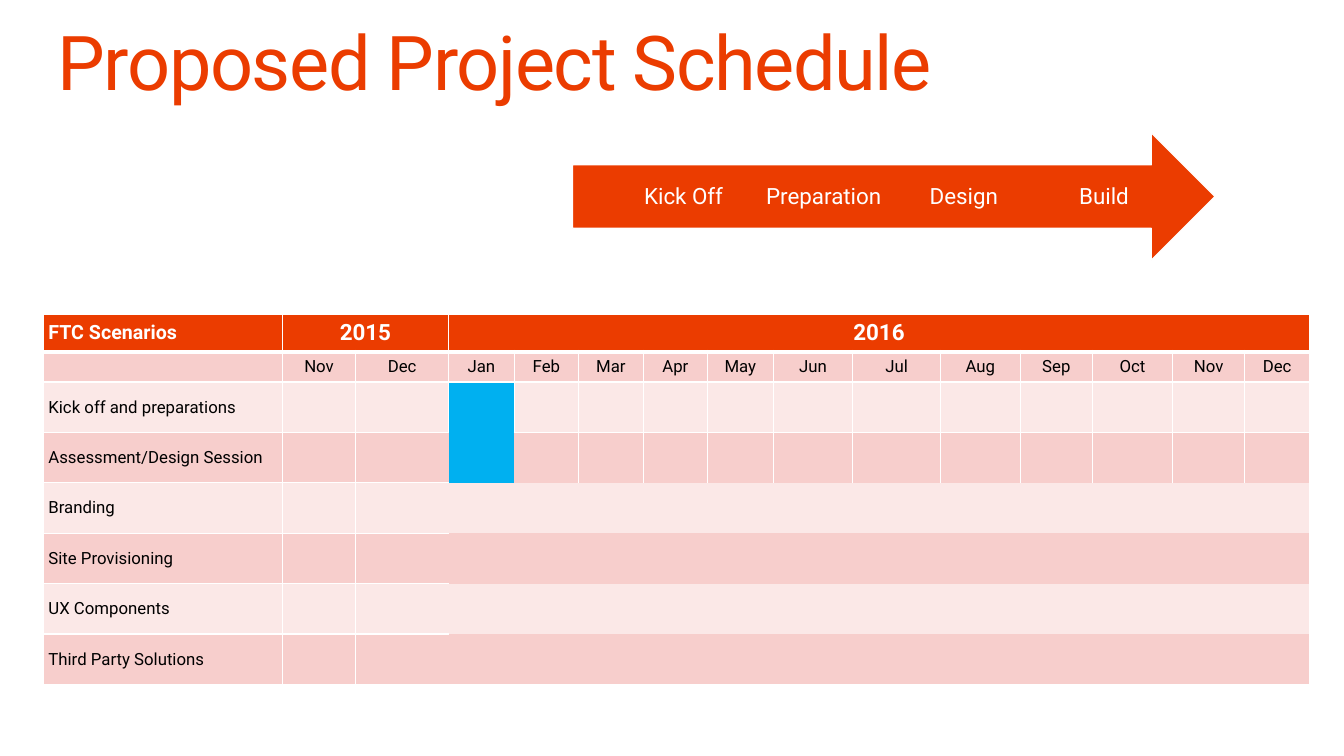
from lxml import etree
from pptx import Presentation
from pptx.dml.color import RGBColor
from pptx.enum import shapes, text
from pptx.oxml.ns import qn
from pptx.util import Inches, Pt

ORANGE = RGBColor(0xEB, 0x3C, 0x00)
WHITE = RGBColor(0xFF, 0xFF, 0xFF)
BLACK = RGBColor(0x00, 0x00, 0x00)
ROSE = RGBColor(0xF7, 0xCE, 0xCC)
PALE_ROSE = RGBColor(0xFB, 0xE8, 0xE7)
BLUE = RGBColor(0x00, 0xB0, 0xF0)
FONT = "Roboto"


def write(frame, words, size=12, color=BLACK, bold=False, align=text.PP_ALIGN.LEFT,
          line_spacing=None, tracking=None):
    paragraph = frame.paragraphs[0]
    paragraph.alignment = align
    paragraph.line_spacing = line_spacing
    run = paragraph.add_run()
    run.text = words
    run.font.name, run.font.size, run.font.bold = FONT, Pt(size), bold
    run.font.color.rgb = color
    if tracking is not None:
        run.font._element.set("spc", str(tracking))


def set_borders(cell, sides, bottom_width):
    """Draw the named sides (of L, R, T, B) in white and clear the others."""
    properties = cell._tc.get_or_add_tcPr()
    for index, side in enumerate("LRTB"):
        width = bottom_width if side == "B" else 1
        line = etree.Element(qn(f"a:ln{side}"), w=str(Pt(width)))
        if side in sides:
            fill = etree.SubElement(line, qn("a:solidFill"))
            etree.SubElement(fill, qn("a:srgbClr"), val=str(WHITE))
        else:
            etree.SubElement(line, qn("a:noFill"))
        properties.insert(index, line)


prs = Presentation()
prs.slide_width, prs.slide_height = Inches(13.33), Inches(7.5)
slide = prs.slides.add_slide(prs.slide_layouts[6])

title = slide.shapes.add_textbox(Inches(0.57), Inches(0.25), Inches(12.19), Inches(0.82)).text_frame
title.word_wrap = True
title.margin_left = title.margin_right = title.margin_top = title.margin_bottom = 0
write(title, "Proposed Project Schedule", size=54, color=ORANGE, line_spacing=0.9, tracking=-100)

# Phase arrow
phases = slide.shapes.add_group_shape()
arrow = phases.shapes.add_shape(shapes.MSO_SHAPE.RIGHT_ARROW, Inches(5.68), Inches(1.32),
                                Inches(6.37), Inches(1.26))
arrow.shadow.inherit = False
arrow.fill.solid()
arrow.fill.fore_color.rgb = ORANGE
arrow.line.color.rgb = WHITE
arrow.line.width = Pt(0.85)
for index, phase in enumerate(["Kick Off", "Preparation", "Design", "Build"]):
    label = phases.shapes.add_textbox(Inches(6.2 + 1.39 * index), Inches(1.64),
                                      Inches(1.16), Inches(0.63)).text_frame
    label.word_wrap = True
    label.margin_left = label.margin_right = 0
    label.margin_top = label.margin_bottom = Inches(0.18)
    label.vertical_anchor = text.MSO_ANCHOR.MIDDLE
    write(label, phase, size=16, color=WHITE, align=text.PP_ALIGN.CENTER, line_spacing=0.9)

# Schedule table
MONTHS = ["Nov", "Dec", "Jan", "Feb", "Mar", "Apr", "May", "Jun",
          "Jul", "Aug", "Sep", "Oct", "Nov", "Dec"]
SCENARIOS = ["Kick off and preparations", "Assessment/Design Session", "Branding",
             "Site Provisioning", "UX Components", "Third Party Solutions"]
WIDTHS = [2.37, 0.73, 0.92, 0.65, 0.64, 0.64, 0.64, 0.65, 0.79, 0.87, 0.79, 0.72, 0.79, 0.72, 0.64]
HEIGHTS = [0.37, 0.3] + [0.5] * len(SCENARIOS)
JAN, LAST = 3, len(MONTHS)
BRANDING = 4

schedule = slide.shapes.add_table(len(HEIGHTS), len(WIDTHS), Inches(0.43), Inches(3.12),
                                  Inches(sum(WIDTHS)), Inches(sum(HEIGHTS))).table
schedule.horz_banding = False
for column, width in zip(schedule.columns, WIDTHS):
    column.width = Inches(width)
for row, height in zip(schedule.rows, HEIGHTS):
    row.height = Inches(height)

words = {(0, 0): "FTC Scenarios", (0, 1): "2015", (0, JAN): "2016"}
words.update({(1, c): month for c, month in enumerate(MONTHS, 1)})
words.update({(r, 0): scenario for r, scenario in enumerate(SCENARIOS, 2)})

for r in range(len(HEIGHTS)):
    for c in range(len(WIDTHS)):
        cell = schedule.cell(r, c)
        cell.margin_left = cell.margin_right = cell.margin_top = cell.margin_bottom = Inches(0.05)
        cell.vertical_anchor = text.MSO_ANCHOR.MIDDLE

        cell.fill.solid()
        if r == 0:
            cell.fill.fore_color.rgb = ORANGE
        elif c == JAN and r in (2, 3):
            cell.fill.fore_color.rgb = BLUE
        else:
            cell.fill.fore_color.rgb = ROSE if r % 2 else PALE_ROSE

        sides = "LRTB"
        if c >= JAN and r >= BRANDING or (r, c) == (3, JAN):
            sides = ""
        elif c == JAN - 1 and r >= 3:
            sides = "LTB"
        elif c == JAN and r == 2:
            sides = "LRT"
        elif c > JAN and r == 3:
            sides = "RT" if c == JAN + 1 else "LRT"
        set_borders(cell, sides, bottom_width=1 if r else 3)

        if (r, c) in words:
            size = 12 if r else 16 if c else 14
            write(cell.text_frame, words[r, c], size=size, color=BLACK if r else WHITE,
                  bold=r == 0, align=text.PP_ALIGN.CENTER if c else text.PP_ALIGN.LEFT)
        else:
            etree.SubElement(cell.text_frame.paragraphs[0]._p, qn("a:endParaRPr"), sz="1200")

merges = [(0, 1, 2), (0, JAN, LAST)]
for r in range(BRANDING, len(HEIGHTS)):
    merges += [(r, r - 1, r + 1), (r, r + 3, LAST)]
for r, first, last in merges:
    schedule.cell(r, first).merge(schedule.cell(r, last))

prs.save("out.pptx")
